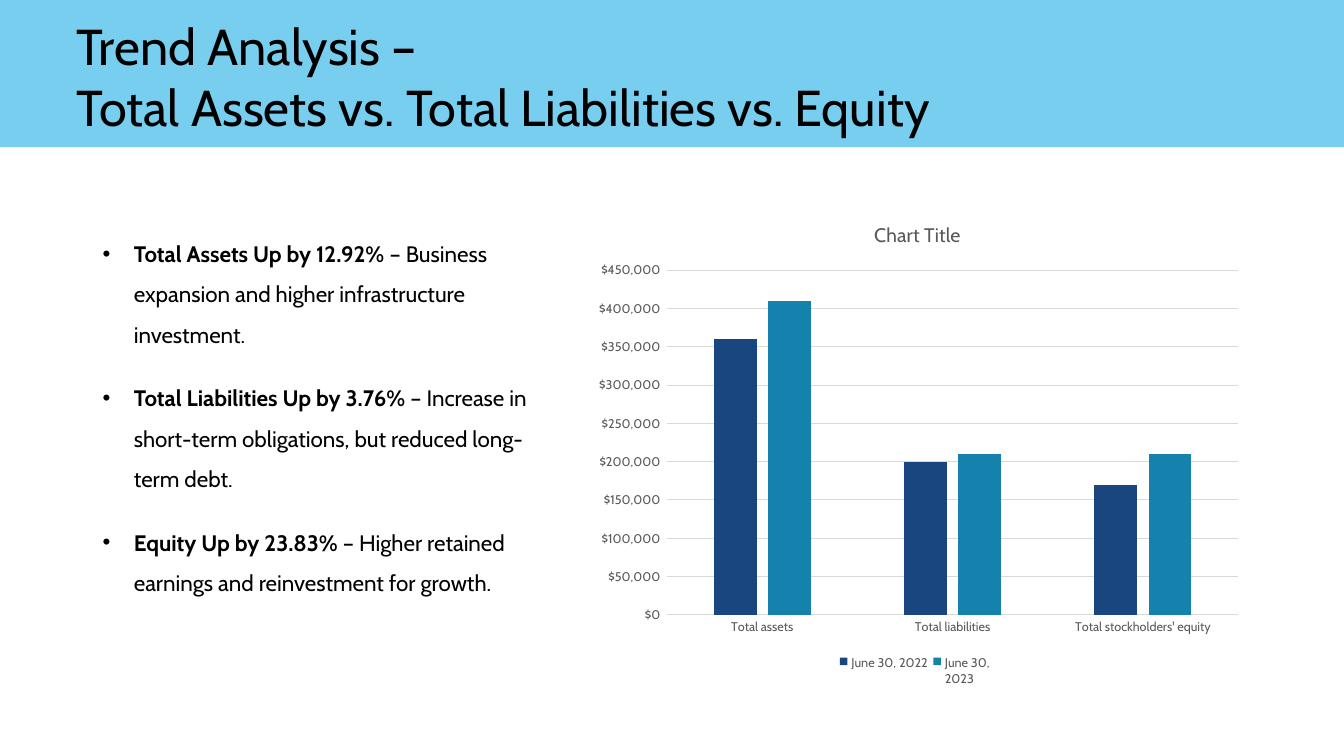
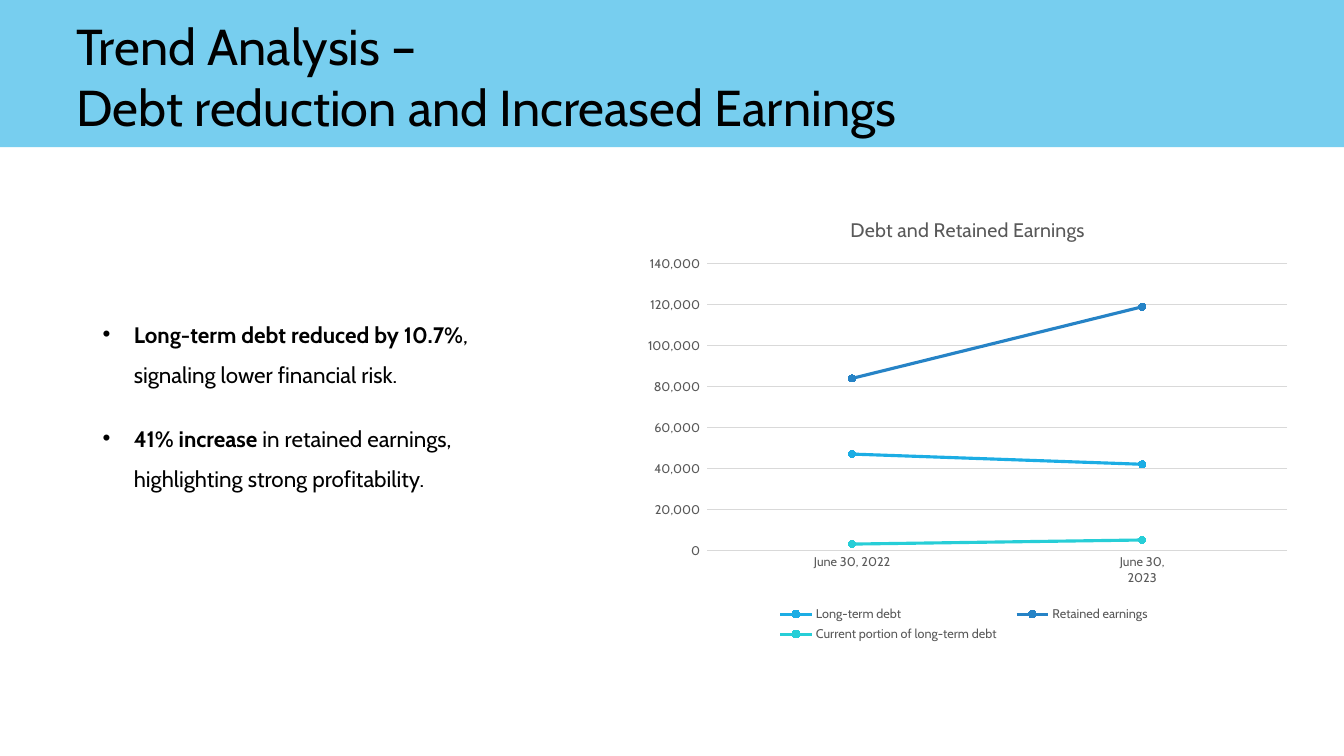
from lxml import etree
from pptx import Presentation
from pptx.chart.data import CategoryChartData
from pptx.dml.color import RGBColor
from pptx.enum.chart import XL_CHART_TYPE, XL_LEGEND_POSITION, XL_MARKER_STYLE, XL_TICK_MARK
from pptx.enum.shapes import MSO_SHAPE
from pptx.enum.text import MSO_ANCHOR
from pptx.oxml.ns import qn
from pptx.util import Inches, Pt

COLUMNS = XL_CHART_TYPE.COLUMN_CLUSTERED
LINES = XL_CHART_TYPE.LINE_MARKERS
LEGEND_BOTTOM = XL_LEGEND_POSITION.BOTTOM
CIRCLE = XL_MARKER_STYLE.CIRCLE
NO_TICK = XL_TICK_MARK.NONE
RECTANGLE = MSO_SHAPE.RECTANGLE
ANCHOR_TOP = MSO_ANCHOR.TOP
ANCHOR_BOTTOM = MSO_ANCHOR.BOTTOM

FONT = "Cabin"
BLACK = RGBColor(0x00, 0x00, 0x00)
SKY = RGBColor(0x77, 0xCE, 0xEF)
GRAY = RGBColor(0x59, 0x59, 0x59)
RULE = RGBColor(0xD9, 0xD9, 0xD9)
NAVY = RGBColor(0x1A, 0x46, 0x7F)
TEAL = RGBColor(0x14, 0x82, 0xAC)
AZURE = RGBColor(0x1C, 0xAD, 0xE4)
BLUE = RGBColor(0x26, 0x83, 0xC6)
TURQUOISE = RGBColor(0x27, 0xCE, 0xD7)

SLIDE_W, SLIDE_H = Inches(13.33), Inches(7.5)
BULLET_INDENT = Inches(0.31)
YEARS = ["June 30, 2022", "June 30,\n2023"]


def region(left, top, width, height):
    """Turn percentages of the slide into a box of lengths."""
    return (int(SLIDE_W * left / 100), int(SLIDE_H * top / 100),
            int(SLIDE_W * width / 100), int(SLIDE_H * height / 100))


BAND_BOX = region(0, 0, 100, 19.47)
TITLE_BOX = region(4.95, 1.07, 88.2, 17.6)


def style_font(font, size, color, bold=False):
    """Apply the deck font with a size and colour."""
    font.name = FONT
    font.size = Pt(size)
    font.bold = bold
    font.color.rgb = color


def add_text_frame(slide, box, anchor):
    """Add a wrapping text box and return its frame."""
    frame = slide.shapes.add_textbox(*box).text_frame
    frame.word_wrap = True
    frame.vertical_anchor = anchor
    return frame


def add_header(slide, subject):
    """Add the blue band and the two-line title."""
    band = slide.shapes.add_shape(RECTANGLE, *BAND_BOX)
    band.shadow.inherit = False
    band.fill.solid()
    band.fill.fore_color.rgb = SKY
    band.line.fill.background()
    heading = add_text_frame(slide, TITLE_BOX, ANCHOR_BOTTOM).paragraphs[0]
    heading.text = f"Trend Analysis –\v{subject}"
    for run in heading.runs:
        style_font(run.font, 36, BLACK)


def add_findings(slide, box, findings):
    """Add bullets, each with a bold lead and a plain explanation."""
    frame = add_text_frame(slide, box, ANCHOR_TOP)
    for index, (lead, explanation) in enumerate(findings):
        finding = frame.add_paragraph() if index else frame.paragraphs[0]
        properties = finding._p.get_or_add_pPr()
        properties.set("marL", str(BULLET_INDENT))
        properties.set("indent", str(-BULLET_INDENT))
        etree.SubElement(properties, qn("a:buFont"), typeface="Arial")
        etree.SubElement(properties, qn("a:buChar"), char="•")
        finding.line_spacing = 1.5
        finding.space_after = Pt(12)
        if index:
            finding.space_before = Pt(4.8)
        for text, bold in ((lead, True), (explanation, False)):
            run = finding.add_run()
            run.text = text
            style_font(run.font, 16, BLACK, bold)


def set_layout(element, percentages, inner=False):
    """Fix a chart part at percentages of the chart's size."""
    layout = element.find(qn("c:layout"))
    if layout is None:
        layout = etree.Element(qn("c:layout"))
        element.insert(0 if inner else 1, layout)
    manual = etree.SubElement(layout, qn("c:manualLayout"))
    if inner:
        etree.SubElement(manual, qn("c:layoutTarget"), val="inner")
    for mode in ("xMode", "yMode"):
        etree.SubElement(manual, qn(f"c:{mode}"), val="edge")
    for side, percentage in zip("xywh", percentages):
        etree.SubElement(manual, qn(f"c:{side}"), val=str(percentage / 100))


def style_axes(chart, number_format, step, top):
    """Format both axes and the gridlines."""
    for axis in (chart.category_axis, chart.value_axis):
        axis.major_tick_mark = axis.minor_tick_mark = NO_TICK
        style_font(axis.tick_labels.font, 9, GRAY)
    baseline = chart.category_axis.format.line
    baseline.color.rgb = RULE
    baseline.width = Pt(0.75)
    values = chart.value_axis
    values.minimum_scale, values.maximum_scale, values.major_unit = 0, top, step
    values.format.line.fill.background()
    values.tick_labels.number_format = number_format
    values.tick_labels.number_format_is_linked = False
    gridline = values.major_gridlines.format.line
    gridline.color.rgb = RULE
    gridline.width = Pt(0.75)


def add_trend_chart(slide, box, kind, title, categories, series, scale, plot_area, legend_area):
    """Add a titled chart with a legend below and return it."""
    trend = CategoryChartData()
    trend.categories = categories
    for name, values, _ in series:
        trend.add_series(name, values)
    chart = slide.shapes.add_chart(kind, *box, trend).chart
    style_font(chart.font, 10, BLACK)
    chart.has_title = True
    heading = chart.chart_title.text_frame
    heading.text = title
    style_font(heading.paragraphs[0].runs[0].font, 14, GRAY)
    chart.chart_title.include_in_layout = False
    chart.has_legend = True
    chart.legend.position = LEGEND_BOTTOM
    chart.legend.include_in_layout = False
    style_font(chart.legend.font, 9, GRAY)
    style_axes(chart, *scale)
    chart.plots[0].vary_by_categories = False
    set_layout(chart._chartSpace.chart.plotArea, plot_area, inner=True)
    set_layout(chart.legend._element, legend_area)
    return chart


def add_balance_chart(slide, box):
    """Add the clustered columns of assets, liabilities and equity."""
    series = [
        (YEARS[0], (360000, 200000, 170000), NAVY),
        (YEARS[1], (410000, 210000, 210000), TEAL),
    ]
    chart = add_trend_chart(
        slide, box, COLUMNS, "Chart Title",
        ["Total assets", "Total liabilities", "Total stockholders' equity"],
        series, ('"$"#,##0_)', 50000, 450000),
        (12.6, 13.8, 85.3, 70.4), (37.6, 92.2, 24, 8))
    columns = chart.plots[0]
    columns.gap_width = 219
    columns.overlap = -27
    for column, (_, _, color) in zip(columns.series, series):
        column.format.fill.solid()
        column.format.fill.fore_color.rgb = color


def add_debt_chart(slide, box):
    """Add the marked lines of debt and retained earnings."""
    series = [
        ("Long-term debt", (47000, 42000), AZURE),
        ("Retained earnings", (84000, 119000), BLUE),
        ("Current portion of long-term debt", (3000, 5000), TURQUOISE),
    ]
    chart = add_trend_chart(
        slide, box, LINES, "Debt and Retained Earnings", YEARS,
        series, ("#,##0_)", 20000, 140000),
        (10.8, 14.6, 87.2, 64), (19.4, 90.2, 60, 10))
    for line, (_, _, color) in zip(chart.plots[0].series, series):
        line.smooth = False
        line.format.line.color.rgb = color
        line.format.line.width = Pt(2.25)
        line.marker.style = CIRCLE
        line.marker.size = 5
        line.marker.format.fill.solid()
        line.marker.format.fill.fore_color.rgb = color
        line.marker.format.line.color.rgb = color


def add_trend_slide(deck, subject, findings, findings_box, add_chart, chart_box):
    """Add one slide with header, findings and chart."""
    slide = deck.slides.add_slide(deck.slide_layouts[6])
    add_header(slide, subject)
    add_findings(slide, findings_box, findings)
    add_chart(slide, chart_box)


def main():
    """Build and save the deck."""
    deck = Presentation()
    deck.slide_width, deck.slide_height = SLIDE_W, SLIDE_H
    add_trend_slide(
        deck, "Total Assets vs. Total Liabilities vs. Equity",
        [("Total Assets Up by 12.92%",
          " – Business expansion and higher infrastructure investment."),
         ("Total Liabilities Up by 3.76%",
          " – Increase in short-term obligations, but reduced long-term debt."),
         ("Equity Up by 23.83%",
          " – Higher retained earnings and reinvestment for growth.")],
        region(6.9, 29.33, 34.2, 52.27),
        add_balance_chart, region(43.36, 26.8, 49.81, 64.8))
    add_trend_slide(
        deck, "Debt reduction and Increased Earnings",
        [("Long-term debt reduced by 10.7%", ", signaling lower financial risk."),
         ("41% increase", " in retained earnings, highlighting strong profitability.")],
        region(6.9, 40, 34.2, 30.53),
        add_debt_chart, region(47.26, 26.27, 49.51, 59.2))
    deck.save("out.pptx")


if __name__ == "__main__":
    main()
